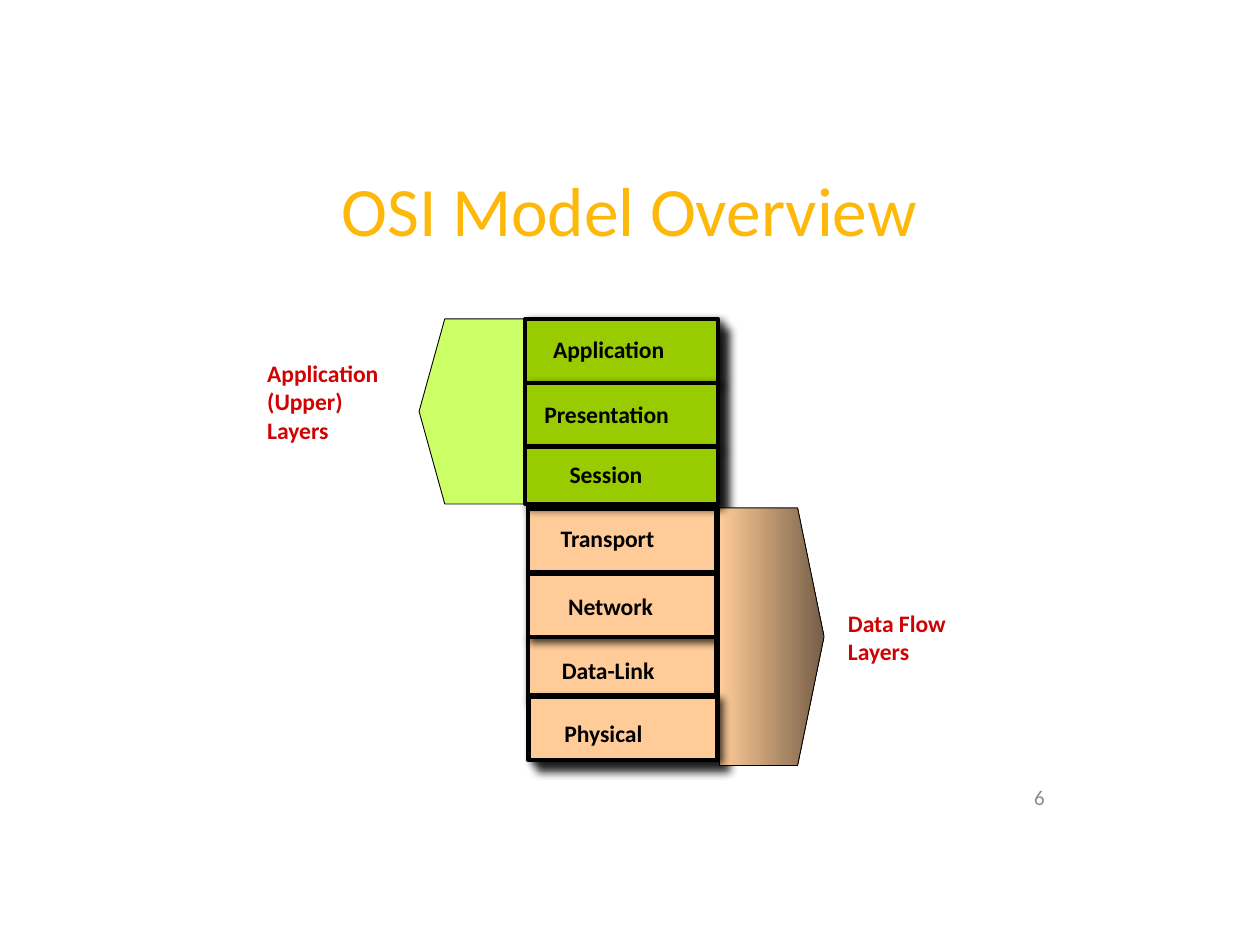
from lxml.etree import SubElement
from pptx import Presentation
from pptx.dml.color import RGBColor
from pptx.enum.shapes import MSO_CONNECTOR, MSO_SHAPE
from pptx.enum.text import MSO_ANCHOR, MSO_AUTO_SIZE, PP_ALIGN
from pptx.oxml.ns import qn
from pptx.util import Pt


def color(value):
    return RGBColor.from_string(value)


class SlideBuilder:
    font = "Calibri"
    black = "000000"
    red = "CF0303"
    border = 2.25
    label_size = 13.5

    def __init__(self, slide):
        self.slide = slide
        self.shapes = slide.shapes

    def add_shadow(self, effects, blur, distance, alpha):
        shadow = SubElement(effects, qn("a:outerShdw"), blurRad=str(Pt(blur)),
                            dist=str(Pt(distance)), dir="2700000", algn="tl", rotWithShape="0")
        tint = SubElement(shadow, qn("a:srgbClr"), val=self.black)
        SubElement(tint, qn("a:alpha"), val=str(alpha * 1000))

    def outline(self, shape, width):
        shape.line.color.rgb = color(self.black)
        shape.line.width = Pt(width)

    def add_text(self, para, text, size, ink, bold=False):
        run = para.add_run()
        run.text = text
        run.font.name = self.font
        run.font.size = Pt(size)
        run.font.bold = bold
        run.font.color.rgb = color(ink)
        return run

    def title(self, text, left, top, width, height):
        box = self.shapes.title
        box.left, box.top, box.width, box.height = map(Pt, (left, top, width, height))
        frame = box.text_frame
        frame.auto_size = MSO_AUTO_SIZE.NONE
        frame.vertical_anchor = MSO_ANCHOR.MIDDLE
        frame.margin_left = frame.margin_right = frame.margin_top = frame.margin_bottom = Pt(2)
        para = frame.paragraphs[0]
        para.alignment = PP_ALIGN.CENTER
        run = self.add_text(para, text, 39.6, "FEB80A")
        properties = run.font._element
        effects = SubElement(properties, qn("a:effectLst"))
        properties.find(qn("a:solidFill")).addnext(effects)
        self.add_shadow(effects, 4, 3, 50)

    def label(self, lines, left, top, width, height, inset, ink):
        box = self.shapes.add_textbox(Pt(left), Pt(top), Pt(width), Pt(height))
        frame = box.text_frame
        frame.word_wrap = False
        frame.auto_size = MSO_AUTO_SIZE.SHAPE_TO_FIT_TEXT
        frame.margin_left = frame.margin_right = Pt(2.9)
        frame.margin_top = frame.margin_bottom = Pt(inset)
        for index, line in enumerate(lines):
            para = frame.add_paragraph() if index else frame.paragraphs[0]
            self.add_text(para, line, self.label_size, ink, True)

    def page_number(self, text, left, top, width, height):
        box = self.shapes.add_textbox(Pt(left), Pt(top), Pt(width), Pt(height))
        frame = box.text_frame
        frame.word_wrap = True
        frame.vertical_anchor = MSO_ANCHOR.MIDDLE
        para = frame.paragraphs[0]
        para.alignment = PP_ALIGN.RIGHT
        self.add_text(para, text, 12, "8C8C8C")

    def block(self, left, top, width, height, fill, distance=2.8):
        box = self.shapes.add_shape(MSO_SHAPE.RECTANGLE, Pt(left), Pt(top), Pt(width), Pt(height))
        box.shadow.inherit = False
        box.fill.solid()
        box.fill.fore_color.rgb = color(fill)
        self.outline(box, self.border)
        effects = box._element.spPr.find(qn("a:effectLst"))
        self.add_shadow(effects, 5, distance, 75)

    def rule(self, left, top, width=107.5):
        line = self.shapes.add_connector(MSO_CONNECTOR.STRAIGHT, Pt(left), Pt(top),
                                         Pt(left + width), Pt(top))
        self.outline(line, self.border)
        SubElement(line._element.spPr, qn("a:effectLst"))

    def pointer(self, base, shoulder, tip, top, bottom, *fills):
        middle = (top + bottom) / 2
        corners = [(base, top), (base, bottom), (shoulder, bottom), (tip, middle)]
        builder = self.shapes.build_freeform(Pt(shoulder), Pt(top))
        builder.add_line_segments([(Pt(x), Pt(y)) for x, y in corners], close=True)
        shape = builder.convert_to_shape()
        shape.shadow.inherit = False
        if len(fills) == 1:
            shape.fill.solid()
            shape.fill.fore_color.rgb = color(fills[0])
        else:
            shape.fill.gradient()
            shape.fill.gradient_angle = 0
            for stop, fill in zip(shape.fill.gradient_stops, fills):
                stop.color.rgb = color(fill)
        self.outline(shape, 0.5)


def main():
    deck = Presentation()
    deck.slide_width, deck.slide_height = Pt(720), Pt(540)
    page = SlideBuilder(deck.slides.add_slide(deck.slide_layouts[5]))
    peach, green = "FFCC99", "99CC00"

    def lower_layer(name, left, top, label_left, label_top, label_width):
        page.block(left, top, 107.3, 36, peach)
        page.label([name], label_left, label_top, label_width, 23.8, 3.6, page.black)

    page.page_number("6", 583.9, 447.8, 18.7, 15.1)
    page.title("OSI Model Overview", 116.6, 97.2, 486, 44.6)
    page.label(["Data Flow", "Layers"], 481.7, 344.2, 64.8, 40.3, 3.6, page.red)

    page.block(301.7, 182.9, 108, 251.3, "B0DEF5", 8.5)
    for left, top in [(301.7, 326.9), (301, 364.3), (302.4, 401), (301, 290.2)]:
        page.rule(left, top)
    lower_layer("Transport", 301.7, 290.9, 317.5, 295.9, 59.8)
    lower_layer("Data-Link", 301.7, 364.3, 318.2, 371.5, 61.9)
    lower_layer("Network", 301.7, 328.3, 321.8, 334.8, 54.7)
    page.pointer(411.1, 455.8, 470.9, 290.2, 437.4, peach, "765E47")
    for left, top in [(302.4, 397.4), (303.1, 434.2)]:
        page.rule(left, top)
    lower_layer("Physical", 302.4, 398.2, 319.7, 407.5, 50.4)

    page.label(["Application", "(Upper)", "Layers"], 149.8, 202.3, 72.7, 54.7, 2.9, page.red)
    for left, top in [(301.7, 251.3), (301, 217.4), (301, 218.9),
                      (300.2, 256.3), (299.5, 218.9), (298.8, 254.9)]:
        page.rule(left, top)
    for top, height in [(182.2, 36.7), (218.9, 36), (255.6, 32.4)]:
        page.block(300.2, top, 110.2, height, green)
    page.pointer(299.2, 254.2, 239.5, 182.2, 288, "CCFF66")
    for name, left, top, width in [("Session", 322.6, 259.9, 47.5),
                                   ("Presentation", 308.2, 225.4, 77),
                                   ("Application", 313.2, 188.6, 69.8)]:
        page.label([name], left, top, width, 21.6, 2.9, page.black)

    deck.save("out.pptx")


if __name__ == "__main__":
    main()
